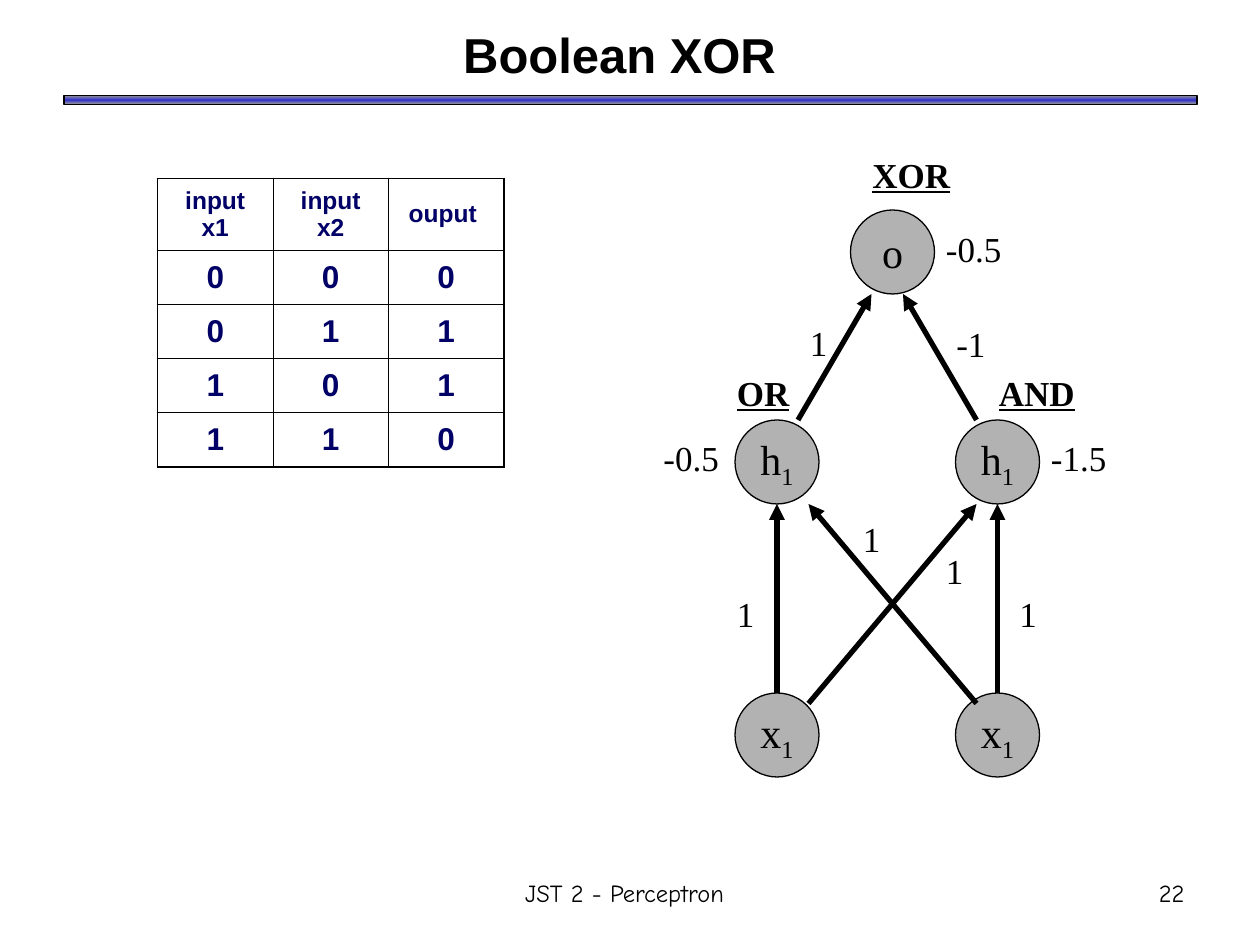
from copy import deepcopy
from dataclasses import dataclass

from lxml.etree import SubElement
from pptx import Presentation
from pptx.dml.color import RGBColor
from pptx.enum.shapes import MSO_CONNECTOR, MSO_SHAPE
from pptx.enum.text import MSO_ANCHOR, MSO_AUTO_SIZE, PP_ALIGN
from pptx.oxml import parse_xml
from pptx.oxml.ns import nsdecls, qn
from pptx.util import Emu, Inches, Pt

BLACK = RGBColor(0x00, 0x00, 0x00)
GRAY = RGBColor(0x96, 0x96, 0x96)
BLUE = RGBColor(0x33, 0x33, 0xCC)
NODE_GRAY = RGBColor(0xB2, 0xB2, 0xB2)
NAVY = RGBColor(0x00, 0x00, 0x66)

# The slide is a grid of 120 columns by 90 rows of square units
SLIDE_WIDTH, SLIDE_HEIGHT = Inches(10), Inches(7.5)
UNIT = SLIDE_WIDTH / 120
NODE_SIZE = 8
LABEL_HEIGHT = 5.25
THIN, THICK = 0.45, 1.08


@dataclass
class Node:
    column: float
    row: float
    letter: str
    subscript: str = ""


@dataclass
class Arrow:
    start: tuple[float, float]
    end: tuple[float, float]


@dataclass
class Label:
    text: str
    column: float
    row: float
    width: float
    heading: bool = False


NODES = [
    Node(91, 66, "x", "1"), Node(70, 66, "x", "1"),
    Node(91, 40, "h", "1"), Node(70, 40, "h", "1"),
    Node(81, 20, "o"),
]
ARROWS = [
    Arrow((95, 66), (95, 48)), Arrow((77, 67), (93, 48)),
    Arrow((74, 66), (74, 48)), Arrow((93, 67), (77, 48)),
    Arrow((93, 40), (86, 28)), Arrow((76, 40), (83, 28)),
]
LABELS = [
    # AND unit
    Label("1", 95.9, 55.8, 4.2), Label("-1.5", 98.9, 40.9, 7.8),
    Label("AND", 93.95, 34.75, 9.8, True), Label("1", 88.9, 51.75, 4.2),
    # OR unit
    Label("1", 81, 48.7, 4.2), Label("-0.5", 62, 40.9, 7.8),
    Label("OR", 69, 34.75, 7.8, True), Label("1", 69, 55.8, 4.2),
    # XOR unit
    Label("1", 75.95, 30, 4.2), Label("-0.5", 88.9, 21.05, 7.8),
    Label("XOR", 81.9, 14, 10, True), Label("-1", 89.9, 30.1, 5.3),
]
TRUTH_TABLE = [
    ("input x1", "input x2", "ouput "),
    ("0", "0", "0"),
    ("0", "1", "1"),
    ("1", "0", "1"),
    ("1", "1", "0"),
]


def units(*values: float) -> list[Emu]:
    return [Emu(round(value * UNIT)) for value in values]


def set_font(paragraph, name: str, size: float, color: RGBColor = BLACK, bold: bool = False) -> None:
    font = paragraph.font
    font.name, font.size, font.bold = name, Pt(size), bold
    font.color.rgb = color


def add_text(slide, text: str, box: tuple, name: str, size: float,
             align=PP_ALIGN.LEFT, bold: bool = False):
    shape = slide.shapes.add_textbox(*units(*box))
    frame = shape.text_frame
    frame.word_wrap = False
    frame.vertical_anchor = MSO_ANCHOR.MIDDLE
    paragraph = frame.paragraphs[0]
    paragraph.text, paragraph.alignment = text, align
    set_font(paragraph, name, size, bold=bold)
    return shape


def add_rule(slide) -> None:
    shape = slide.shapes.add_shape(MSO_SHAPE.RECTANGLE, *units(6.1, 9.1, 107.9, 0.85))
    shape.shadow.inherit = False
    shape.line.color.rgb, shape.line.width = BLACK, Pt(1)
    shape.fill.gradient()
    shape.fill.gradient_angle = 90
    first, middle = shape.fill.gradient_stops
    first.color.rgb, first.position = GRAY, 0
    middle.color.rgb, middle.position = BLUE, 0.5
    stops = shape._element.spPr.find(".//" + qn("a:gsLst"))
    last = deepcopy(stops[0])
    last.set("pos", "100000")
    stops.append(last)


def add_truth_table(slide) -> None:
    row_count, column_count = len(TRUTH_TABLE), len(TRUTH_TABLE[0])
    table = slide.shapes.add_table(row_count, column_count, *units(15, 17, 33, 27.4)).table
    table.first_row = table.horz_banding = False
    for row_index, values in enumerate(TRUTH_TABLE):
        header = row_index == 0
        table.rows[row_index].height = Inches(0.57 if header else 0.43)
        for column_index, value in enumerate(values):
            cell = table.cell(row_index, column_index)
            cell.vertical_anchor = MSO_ANCHOR.MIDDLE
            cell.fill.background()
            paragraph = cell.text_frame.paragraphs[0]
            paragraph.text, paragraph.alignment = value, PP_ALIGN.CENTER
            paragraph.space_before = Pt(3.5 if header else 4.5)
            set_font(paragraph, "Arial", 14 if header else 18, NAVY, bold=True)
            outer_sides = {
                "L": column_index == 0, "R": column_index == column_count - 1,
                "T": header, "B": row_index == row_count - 1,
            }
            properties = cell._tc.get_or_add_tcPr()
            for position, (side, outer) in enumerate(outer_sides.items()):
                width = Pt(THICK if outer else THIN)
                properties.insert(position, parse_xml(
                    f'<a:ln{side} {nsdecls("a")} w="{width}"><a:solidFill>'
                    f'<a:srgbClr val="{BLACK}"/></a:solidFill></a:ln{side}>'))


def add_node(slide, node: Node) -> None:
    shape = slide.shapes.add_shape(
        MSO_SHAPE.OVAL, *units(node.column, node.row, NODE_SIZE, NODE_SIZE))
    shape.shadow.inherit = False
    shape.fill.solid()
    shape.fill.fore_color.rgb = NODE_GRAY
    shape.line.color.rgb, shape.line.width = BLACK, Pt(0.75)
    frame = shape.text_frame
    frame.word_wrap = False
    frame.vertical_anchor = MSO_ANCHOR.MIDDLE
    paragraph = frame.paragraphs[0]
    paragraph.alignment = PP_ALIGN.CENTER
    set_font(paragraph, "Times New Roman", 24)
    paragraph.add_run().text = node.letter
    if node.subscript:
        run = paragraph.add_run()
        run.text = node.subscript
        run._r.get_or_add_rPr().set("baseline", "-25000")


def add_arrow(slide, arrow: Arrow) -> None:
    connector = slide.shapes.add_connector(
        MSO_CONNECTOR.STRAIGHT, *units(*arrow.start, *arrow.end))
    connector.line.color.rgb, connector.line.width = BLACK, Pt(3)
    SubElement(connector.line._get_or_add_ln(), qn("a:tailEnd"), type="triangle")
    SubElement(connector._element.spPr, qn("a:effectLst"))


def add_label(slide, label: Label) -> None:
    box = (label.column, label.row, label.width, LABEL_HEIGHT)
    shape = add_text(slide, label.text, box, "Times New Roman", 20, bold=label.heading)
    shape.text_frame.auto_size = MSO_AUTO_SIZE.SHAPE_TO_FIT_TEXT
    shape.text_frame.paragraphs[0].font.underline = label.heading


def main() -> None:
    presentation = Presentation()
    presentation.slide_width, presentation.slide_height = SLIDE_WIDTH, SLIDE_HEIGHT
    slide = presentation.slides.add_slide(presentation.slide_layouts[6])

    # Rule, footer and title
    add_rule(slide)
    add_text(slide, "JST 2 - Perceptron", (36, 82, 47, 6), "Comic Neue", 14, PP_ALIGN.CENTER)
    add_text(slide, "22", (89, 82, 25, 6), "Comic Neue", 14, PP_ALIGN.RIGHT)
    add_text(slide, "Boolean XOR", (9, -0.4, 100, 11), "Arial", 28, PP_ALIGN.CENTER, bold=True)

    # Truth table and network
    add_truth_table(slide)
    for node in NODES:
        add_node(slide, node)
    for arrow in ARROWS:
        add_arrow(slide, arrow)
    for label in LABELS:
        add_label(slide, label)

    presentation.save("out.pptx")


if __name__ == "__main__":
    main()
